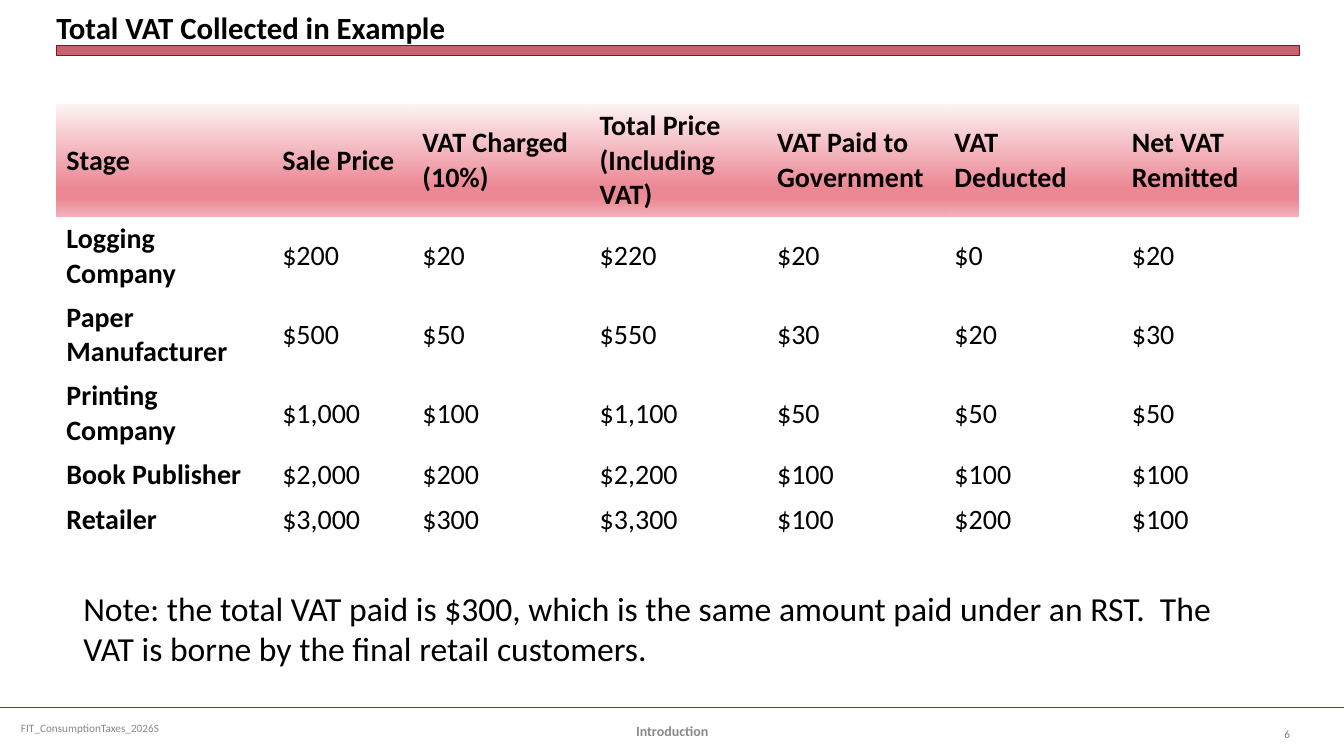
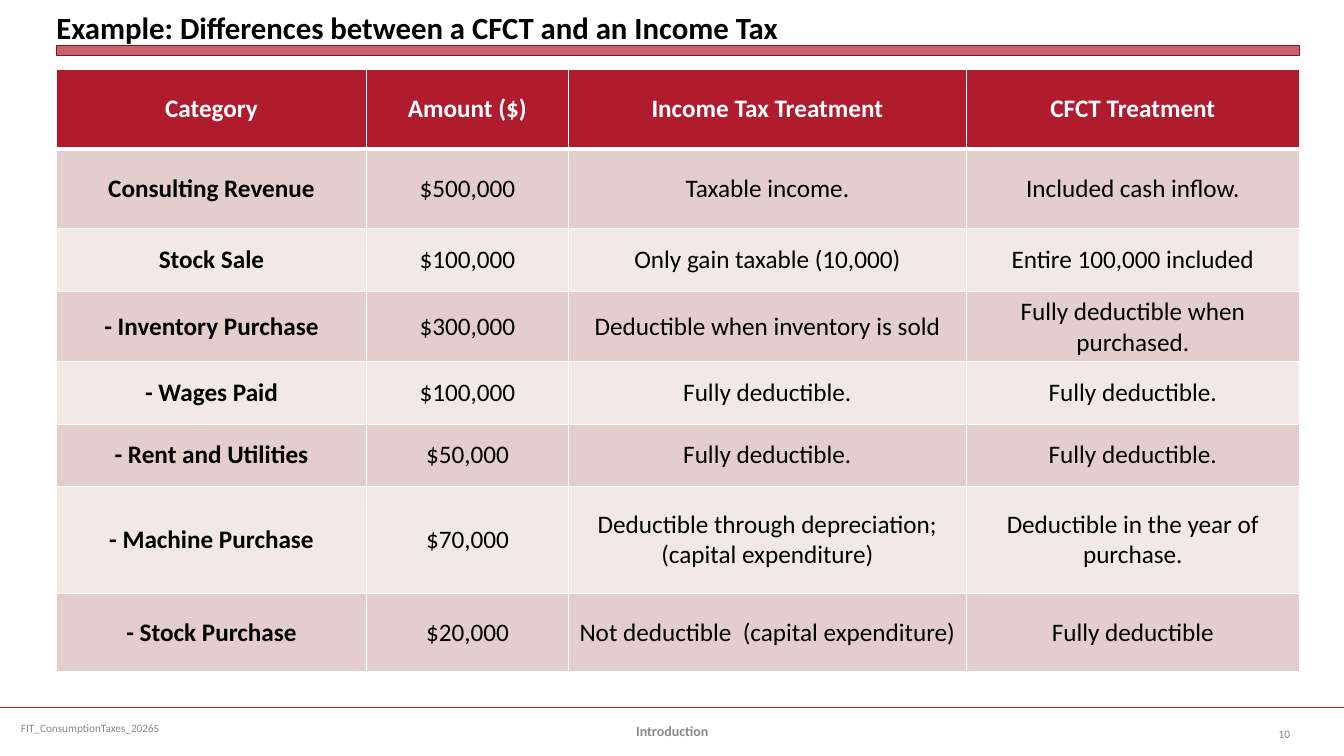
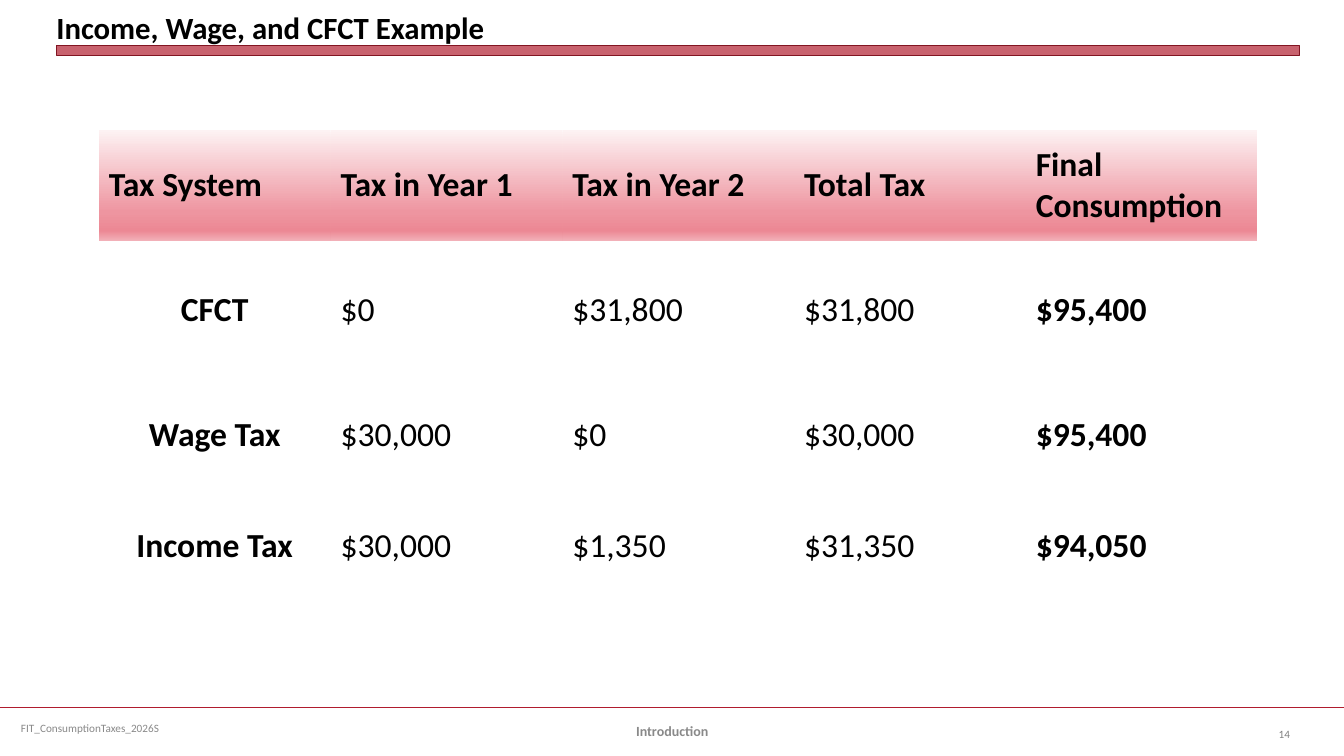
from dataclasses import dataclass

from lxml import etree
from pptx import Presentation
from pptx import util as u
from pptx.dml.color import RGBColor
from pptx.enum import shapes, text
from pptx.oxml.ns import qn


@dataclass(frozen=True)
class Theme:
    font: str = "Calibri"
    black: str = "000000"
    white: str = "FFFFFF"
    red: str = "B01C2E"
    dark_red: str = "821522"
    footer_grey: str = "898989"
    number_grey: str = "808080"
    bands: tuple = ("E4CDCD", "F2E8E8")
    price_header: tuple = ((0, "FDF2F3"), (74, "EC8894"), (83, "EC8894"), (100, "F2B0B8"))
    system_header: tuple = ((0, "FDF2F3"), (74, "EE95A0"), (91, "EC8894"), (100, "F2B0B8"))
    plain_table: str = "{2D5ABB26-0587-4C30-8999-92F81FD0307C}"
    title_size: int = 22
    note_size: int = 24
    section_size: int = 10
    footer_size: int = 8


THEME = Theme()
LEFT, CONTENT_WIDTH = 1.42, 31.32
SLIDE_WIDTH, SLIDE_HEIGHT = 33.87, 19.05
FOOTER_TOP = 17.83
ALIGN = text.PP_ALIGN
ANCHOR = text.MSO_ANCHOR


def lengths(*values):
    return [u.Cm(value) for value in values]


def add_color(parent, color, **changes):
    node = etree.SubElement(parent, qn("a:srgbClr"), val=color)
    for name, value in changes.items():
        etree.SubElement(node, qn(f"a:{name}"), val=str(value))


class Deck:
    """Hold the presentation, its theme and the slide being built."""

    def __init__(self, theme):
        self.theme = theme
        self.presentation = Presentation()
        self.presentation.slide_width = u.Cm(SLIDE_WIDTH)
        self.presentation.slide_height = u.Cm(SLIDE_HEIGHT)
        self.slide = None

    def start(self, title, number):
        theme = self.theme
        self.slide = self.presentation.slides.add_slide(self.presentation.slide_layouts[5])
        self.footer_rule()
        self.title_bar()
        self.title(title)
        self.textbox("FIT_ConsumptionTaxes_2026S", (0.28, FOOTER_TOP, 8.74, 1.02),
                     theme.footer_size, theme.footer_grey)
        self.textbox("Introduction", (11.58, 17.91, 10.72, 1.02),
                     theme.section_size, theme.footer_grey, ALIGN.CENTER, bold=True)
        self.textbox(str(number), (31.06, 17.98, 1.7, 1.02),
                     theme.footer_size, theme.number_grey, ALIGN.RIGHT)

    def format(self, frame, size, color, align=ALIGN.LEFT, bold=False):
        for paragraph in frame.paragraphs:
            paragraph.alignment = align
            for run in paragraph.runs:
                run.font.name = self.theme.font
                run.font.size = u.Pt(size)
                run.font.bold = bold
                run.font.color.rgb = RGBColor.from_string(color)

    def title(self, words):
        shape = self.slide.shapes.title
        shape.left, shape.top, shape.width, shape.height = lengths(
            LEFT, 0.13, CONTENT_WIDTH, 1.02)
        frame = shape.text_frame
        frame.text = words
        frame.auto_size = text.MSO_AUTO_SIZE.NONE
        frame.vertical_anchor = ANCHOR.BOTTOM
        frame.margin_left = frame.margin_right = frame.margin_top = frame.margin_bottom = 0
        self.format(frame, self.theme.title_size, self.theme.black, bold=True)

    def textbox(self, words, place, size, color, align=ALIGN.LEFT, bold=False,
                anchor=ANCHOR.MIDDLE):
        frame = self.slide.shapes.add_textbox(*lengths(*place)).text_frame
        frame.word_wrap = True
        frame.vertical_anchor = anchor
        frame.text = words
        self.format(frame, size, color, align, bold)

    def footer_rule(self):
        rule = self.slide.shapes.add_connector(
            shapes.MSO_CONNECTOR.STRAIGHT,
            *lengths(0, FOOTER_TOP, SLIDE_WIDTH, FOOTER_TOP))
        rule.line.color.rgb = RGBColor.from_string(self.theme.red)
        rule.line.width = u.Pt(1.25)
        etree.SubElement(rule._element.spPr, qn("a:effectLst"))

    def title_bar(self):
        bar = self.slide.shapes.add_shape(
            shapes.MSO_SHAPE.RECTANGLE, *lengths(LEFT, 1.14, CONTENT_WIDTH, 0.25))
        bar.shadow.inherit = False
        bar.fill.solid()
        bar.fill.fore_color.rgb = RGBColor.from_string(self.theme.red)
        color = bar._element.spPr.find(f"{qn('a:solidFill')}/{qn('a:srgbClr')}")
        etree.SubElement(color, qn("a:alpha"), val="69000")
        bar.line.color.rgb = RGBColor.from_string(self.theme.dark_red)
        bar.line.width = u.Pt(0)

    def table(self, data, place, widths, heights, size, bold_columns=(0,)):
        frame = self.slide.shapes.add_table(
            len(data), len(widths), *lengths(*place, sum(widths), sum(heights)))
        table = frame.table
        table.horz_banding = False
        table._tbl.tblPr.find(qn("a:tableStyleId")).text = self.theme.plain_table
        for column, width in zip(table.columns, widths):
            column.width = u.Cm(width)
        for row_index, (row, height, values) in enumerate(zip(table.rows, heights, data)):
            row.height = u.Cm(height)
            for column_index, (cell, value) in enumerate(zip(row.cells, values)):
                cell.text = value
                cell.vertical_anchor = ANCHOR.MIDDLE
                bold = row_index == 0 or column_index in bold_columns
                self.format(cell.text_frame, size, self.theme.black, bold=bold)
        return table

    def gradient_header(self, table, stops):
        for cell in table.rows[0].cells:
            gradient = etree.SubElement(
                cell._tc.get_or_add_tcPr(), qn("a:gradFill"), rotWithShape="1")
            stop_list = etree.SubElement(gradient, qn("a:gsLst"))
            for position, color in stops:
                stop = etree.SubElement(stop_list, qn("a:gs"), pos=str(position * 1000))
                add_color(stop, color)
            etree.SubElement(gradient, qn("a:lin"), ang="5400000", scaled="0")

    def banded_grid(self, table):
        theme = self.theme
        for row_index, row in enumerate(table.rows):
            header = row_index == 0
            fill = theme.red if header else theme.bands[(row_index - 1) % 2]
            widths = {"L": 1, "R": 1, "T": 3 if row_index == 1 else 1, "B": 3 if header else 1}
            for cell in row.cells:
                for side, width in widths.items():
                    self.border(cell, side, width)
                cell.fill.solid()
                cell.fill.fore_color.rgb = RGBColor.from_string(fill)
                for paragraph in cell.text_frame.paragraphs:
                    paragraph.alignment = ALIGN.CENTER
                    if header:
                        for run in paragraph.runs:
                            run.font.color.rgb = RGBColor.from_string(theme.white)

    def border(self, cell, side, width):
        line = etree.SubElement(
            cell._tc.get_or_add_tcPr(), qn(f"a:ln{side}"), w=str(u.Pt(width)))
        add_color(etree.SubElement(line, qn("a:solidFill")), self.theme.white)


VAT_STAGES = [
    ("Stage", "Sale Price", "VAT Charged (10%)", "Total Price (Including VAT)",
     "VAT Paid to Government", "VAT Deducted", "Net VAT Remitted"),
    ("Logging Company", "$200", "$20", "$220", "$20", "$0", "$20"),
    ("Paper Manufacturer", "$500", "$50", "$550", "$30", "$20", "$30"),
    ("Printing Company", "$1,000", "$100", "$1,100", "$50", "$50", "$50"),
    ("Book Publisher", "$2,000", "$200", "$2,200", "$100", "$100", "$100"),
    ("Retailer", "$3,000", "$300", "$3,300", "$100", "$200", "$100"),
]

TREATMENTS = [
    ("Category", "Amount ($)", "Income Tax Treatment", "CFCT Treatment"),
    ("Consulting Revenue", "$500,000", "Taxable income.", "Included cash inflow."),
    ("Stock Sale", "$100,000", "Only gain taxable (10,000)", "Entire 100,000 included"),
    ("- Inventory Purchase", "$300,000", "Deductible when inventory is sold",
     "Fully deductible when purchased."),
    ("- Wages Paid", "$100,000", "Fully deductible.", "Fully deductible."),
    ("- Rent and Utilities", "$50,000", "Fully deductible.", "Fully deductible."),
    ("- Machine Purchase", "$70,000", "Deductible through depreciation; (capital expenditure)",
     "Deductible in the year of purchase."),
    ("- Stock Purchase", "$20,000", "Not deductible  (capital expenditure)",
     "Fully deductible"),
]

TAX_SYSTEMS = [
    ("Tax System", "Tax in Year 1", "Tax in Year 2", "Total Tax", "Final Consumption"),
    ("CFCT", "$0", "$31,800", "$31,800", "$95,400"),
    ("Wage Tax", "$30,000", "$0", "$30,000", "$95,400"),
    ("Income Tax", "$30,000", "$1,350", "$31,350", "$94,050"),
]


def vat_slide(deck):
    deck.start("Total VAT Collected in Example", 6)
    table = deck.table(VAT_STAGES, (LEFT, 2.62), [5.44, 3.53] + [4.47] * 5,
                       [2.85] + [1.98] * 3 + [1.12] * 2, size=20)
    deck.gradient_header(table, THEME.price_header)
    deck.textbox("Note: the total VAT paid is $300, which is the same amount paid under an RST.  "
                 "The VAT is borne by the final retail customers.",
                 (1.85, 14.68, 29.97, 2.31), THEME.note_size, THEME.black, anchor=ANCHOR.TOP)


def treatment_slide(deck):
    deck.start("Example: Differences between a CFCT and an Income Tax", 10)
    table = deck.table(TREATMENTS, (LEFT, 1.75), [7.82, 5.08, 10.04, 8.38],
                       [2.01, 2.01, 1.57, 1.78, 1.57, 1.57, 2.69, 1.98], size=18)
    deck.banded_grid(table)


def tax_system_slide(deck):
    deck.start("Income, Wage, and CFCT Example", 14)
    table = deck.table(TAX_SYSTEMS, (2.49, 3.28), [5.84] * 5,
                       [2.79, 3.51, 2.79, 2.79], size=24, bold_columns=(0, 4))
    deck.gradient_header(table, THEME.system_header)
    for row_index in range(1, len(TAX_SYSTEMS)):
        table.cell(row_index, 0).text_frame.paragraphs[0].alignment = ALIGN.CENTER


def main():
    deck = Deck(THEME)
    vat_slide(deck)
    treatment_slide(deck)
    tax_system_slide(deck)
    deck.presentation.save("out.pptx")


if __name__ == "__main__":
    main()
